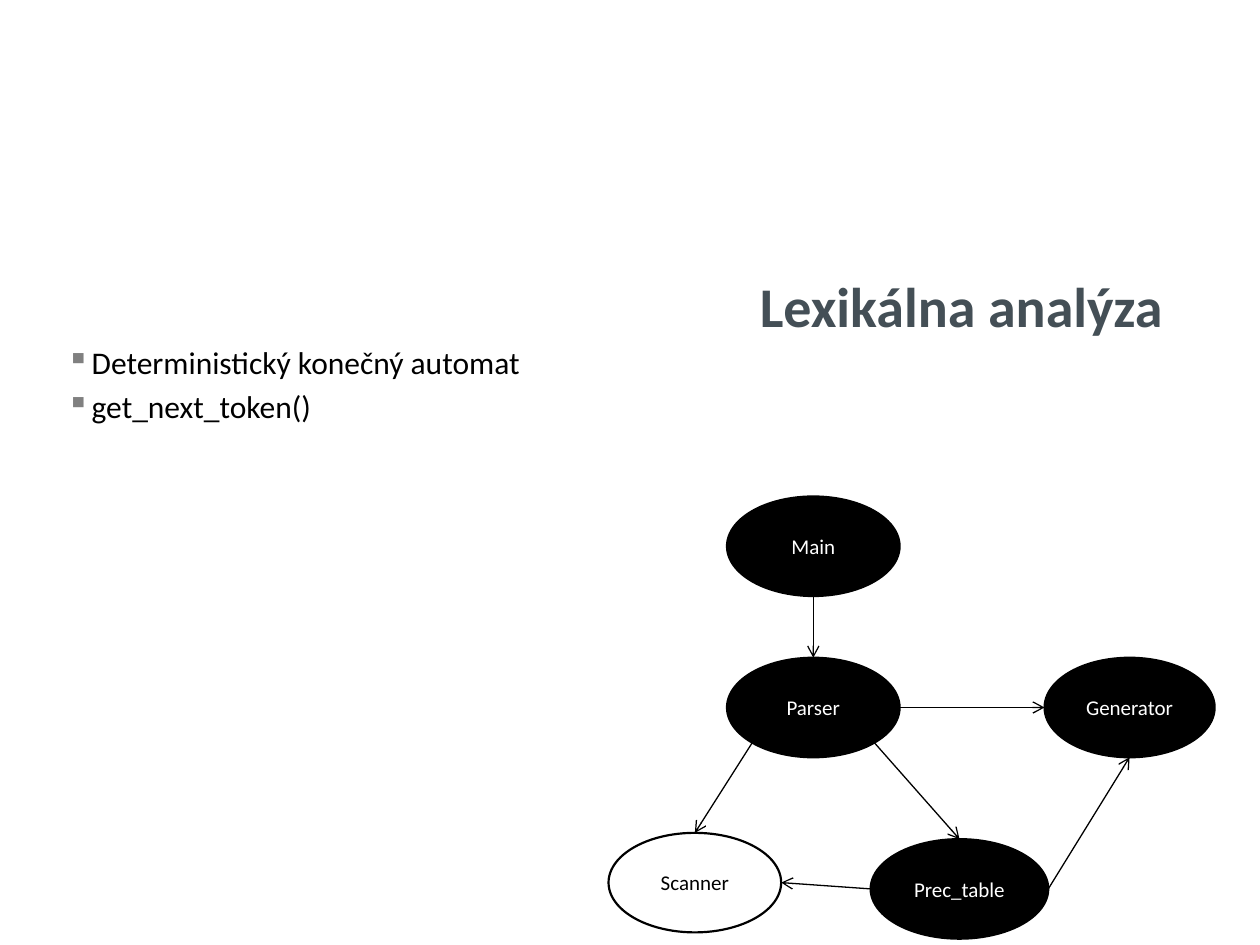
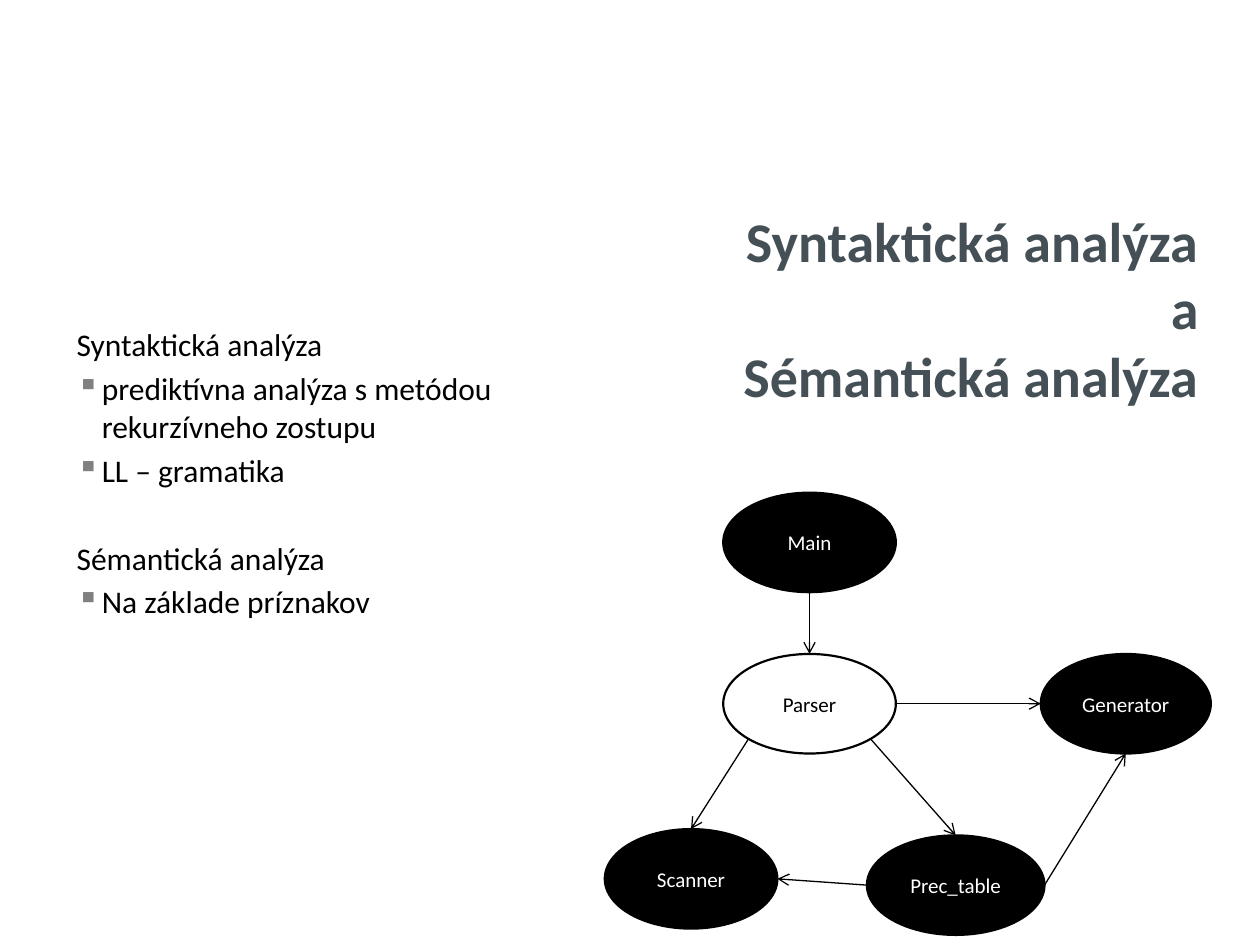
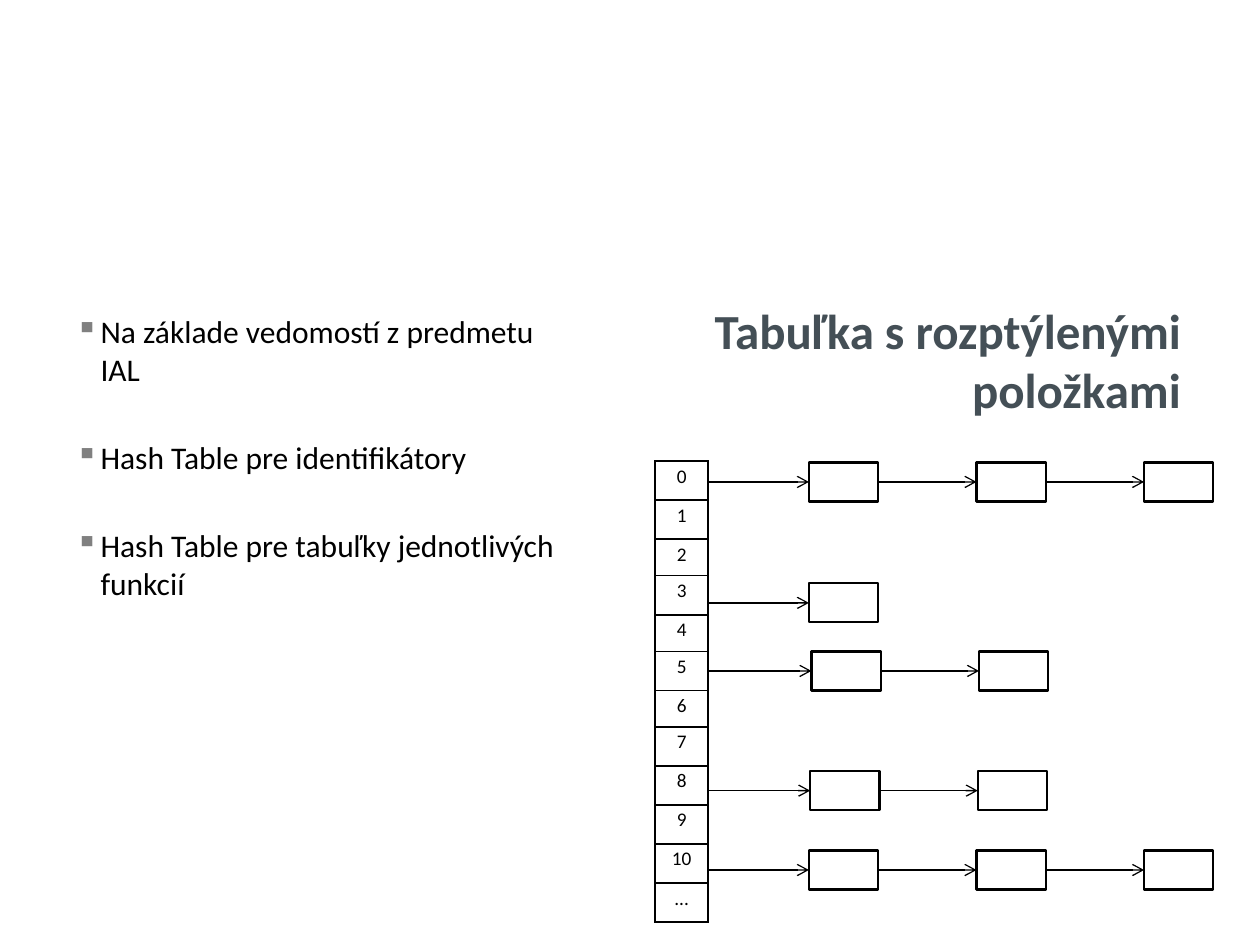
import math

import pptx
import pptx.dml.color
import pptx.enum.shapes
import pptx.enum.text
import pptx.oxml
import pptx.oxml.ns
import pptx.util

# Shared look
FONT = "Calibri"
COLORS = {"title": "444F56", "ink": "000000", "paper": "FFFFFF", "bullet": "808080"}
ANCHOR = pptx.enum.text.MSO_ANCHOR
ALIGN = pptx.enum.text.PP_ALIGN
SHAPE = pptx.enum.shapes.MSO_SHAPE
STRAIGHT = pptx.enum.shapes.MSO_CONNECTOR.STRAIGHT
A_NS = pptx.oxml.ns.nsdecls("a")

LINE_GAP = 3.5       # points above a paragraph
SECTION_GAP = 28.6   # points above a new group of paragraphs

# Module diagram: left, top, width, relative to the diagram's corner
NODE_HEIGHT = 0.79
MODULES = {
    "Parser": (0.94, 1.28, 1.37),
    "Prec_table": (2.08, 2.72, 1.41),
    "Generator": (3.46, 1.28, 1.35),
    "Scanner": (0, 2.67, 1.37),
    "Main": (0.94, 0, 1.37),
}
# Angles on the ellipses, clockwise from the right, in degrees
RIGHT, LOWER_RIGHT, BOTTOM, LOWER_LEFT, LEFT, TOP = 0, 45, 90, 135, 180, 270
CALLS = [
    ("Main", BOTTOM, "Parser", TOP),
    ("Parser", LOWER_LEFT, "Scanner", TOP),
    ("Parser", LOWER_RIGHT, "Prec_table", TOP),
    ("Prec_table", LEFT, "Scanner", RIGHT),
    ("Prec_table", RIGHT, "Generator", BOTTOM),
    ("Parser", RIGHT, "Generator", LEFT),
]

# Hash table: slots on the left, chains of items on the right
SLOTS = [str(number) for number in range(11)] + ["..."]
LOW_SLOTS = ("2", "4", "6")
SLOT_LEFT, SLOT_TOP, SLOT_WIDTH = 5.2, 3.66, 0.42
ITEM_WIDTH, ITEM_HEIGHT, ITEM_PITCH = 0.55, 0.31, 1.33
CHAINS = [(6.42, 3.67, 3), (6.42, 4.63, 1), (6.44, 5.17, 2),
          (6.43, 6.12, 2), (6.42, 6.75, 3)]   # left, top, items


def inches(*lengths):
    return [pptx.util.Inches(length) for length in lengths]


def rgb(name):
    return pptx.dml.color.RGBColor.from_string(COLORS[name])


def add_run(paragraph, text, size, color="ink", bold=False):
    run = paragraph.add_run()
    run.text = text
    run.font.name = FONT
    run.font.size = pptx.util.Pt(size)
    run.font.bold = bold
    run.font.color.rgb = rgb(color)


def add_text_frame(slide, place, anchor=ANCHOR.MIDDLE):
    frame = slide.shapes.add_textbox(*inches(*place)).text_frame
    frame.word_wrap = True
    frame.vertical_anchor = anchor
    return frame


def add_title(slide, place, lines, size=32):
    paragraph = add_text_frame(slide, place).paragraphs[0]
    paragraph.alignment = ALIGN.RIGHT
    for number, line in enumerate(lines):
        if number:
            paragraph.add_line_break()
        add_run(paragraph, line, size, "title", True)


def set_bullet(paragraph):
    properties = paragraph._p.get_or_add_pPr()
    indent = pptx.util.Inches(0.2)
    properties.set("marL", str(indent))
    properties.set("indent", str(-indent))
    for xml in (f'<a:buClr {A_NS}><a:srgbClr val="{COLORS["bullet"]}"/></a:buClr>',
                f'<a:buChar {A_NS} char="▪"/>'):
        properties.append(pptx.oxml.parse_xml(xml))


def add_points(frame, points):
    """Each point is its text, whether it has a bullet, and the gap above."""
    for number, (text, bulleted, gap) in enumerate(points):
        paragraph = frame.add_paragraph() if number else frame.paragraphs[0]
        paragraph.space_before = pptx.util.Pt(gap)
        if bulleted:
            set_bullet(paragraph)
        add_run(paragraph, text, 18)


def add_outlined(slide, kind, place, fill):
    shape = slide.shapes.add_shape(kind, *inches(*place))
    shape.shadow.inherit = False
    shape.fill.solid()
    shape.fill.fore_color.rgb = rgb(fill)
    shape.line.color.rgb = rgb("ink")
    shape.line.width = pptx.util.Pt(1.25)
    return shape


def add_arrow(slide, start, end):
    arrow = slide.shapes.add_connector(STRAIGHT, *inches(*start, *end))
    arrow.line.color.rgb = rgb("ink")
    arrow.line.width = pptx.util.Pt(0.75)
    arrow.line._get_or_add_ln().append(
        pptx.oxml.parse_xml(f'<a:tailEnd {A_NS} type="arrow"/>'))
    arrow._element.spPr.append(pptx.oxml.parse_xml(f"<a:effectLst {A_NS}/>"))
    return arrow


def add_module_diagram(slide, left, top, active):
    def edge(name, angle):
        x, y, width = MODULES[name]
        turn = math.radians(angle)
        return (left + x + width / 2 * (1 + math.cos(turn)),
                top + y + NODE_HEIGHT / 2 * (1 + math.sin(turn)))

    for name, (x, y, width) in MODULES.items():
        fill, ink = ("paper", "ink") if name == active else ("ink", "paper")
        module = add_outlined(slide, SHAPE.OVAL,
                              (left + x, top + y, width, NODE_HEIGHT), fill)
        module.text_frame.vertical_anchor = ANCHOR.MIDDLE
        paragraph = module.text_frame.paragraphs[0]
        paragraph.alignment = ALIGN.CENTER
        add_run(paragraph, name, 12, ink)
    for caller, start, callee, end in CALLS:
        add_arrow(slide, edge(caller, start), edge(callee, end))


def set_borders(cell):
    properties = cell._tc.get_or_add_tcPr()
    for side in ("lnL", "lnR", "lnT", "lnB"):
        properties.append(pptx.oxml.parse_xml(
            f'<a:{side} {A_NS} w="{pptx.util.Pt(1)}"><a:solidFill>'
            f'<a:srgbClr val="{COLORS["ink"]}"/></a:solidFill></a:{side}>'))


def add_slot_table(slide):
    heights = [0.29 if slot in LOW_SLOTS else 0.31 for slot in SLOTS]
    place = inches(SLOT_LEFT, SLOT_TOP, SLOT_WIDTH, sum(heights))
    table = slide.shapes.add_table(len(SLOTS), 1, *place).table
    table.first_row = table.horz_banding = False
    for row, slot, height in zip(table.rows, SLOTS, heights):
        row.height = pptx.util.Inches(height)
        cell = row.cells[0]
        cell.margin_left = cell.margin_right = pptx.util.Inches(0.07)
        cell.margin_top = cell.margin_bottom = 0
        set_borders(cell)
        cell.fill.background()
        paragraph = cell.text_frame.paragraphs[0]
        paragraph.alignment = ALIGN.CENTER
        paragraph.line_spacing = 1.15
        add_run(paragraph, slot, 11)


def add_chain(slide, left, top, count):
    middle = top + ITEM_HEIGHT / 2
    previous = None
    for number in range(count):
        x = left + number * ITEM_PITCH
        item = add_outlined(slide, SHAPE.RECTANGLE,
                            (x, top, ITEM_WIDTH, ITEM_HEIGHT), "paper")
        arrow = add_arrow(slide, (SLOT_LEFT + SLOT_WIDTH, middle), (x, middle))
        if previous is not None:
            arrow.begin_connect(previous, 3)
        arrow.end_connect(item, 1)
        previous = item


def build_lexical(slide):
    add_points(add_text_frame(slide, (0.43, 0.48, 4, 5.13)), [
        ("Deterministický konečný automat", True, LINE_GAP),
        ("get_next_token()", True, LINE_GAP),
    ])
    add_title(slide, (5.77, 1.62, 3.56, 1.6), ["Lexikálna analýza"])
    add_module_diagram(slide, 4.83, 3.94, "Scanner")


def build_syntactic(slide):
    frame = add_text_frame(slide, (0.51, 2.58, 4, 2.92), ANCHOR.TOP)
    frame.margin_top = 0
    add_points(frame, [
        ("Syntaktická analýza", False, 0),
        ("prediktívna analýza s metódou rekurzívneho zostupu", True, LINE_GAP),
        ("LL – gramatika", True, LINE_GAP),
        ("Sémantická analýza", False, SECTION_GAP),
        ("Na základe príznakov", True, LINE_GAP),
    ])
    add_title(slide, (5.3, 1.39, 4.31, 2.1),
              ["Syntaktická analýza", "a", "Sémantická analýza"])
    add_module_diagram(slide, 4.8, 3.91, "Parser")


def build_hash_table(slide):
    add_points(add_text_frame(slide, (0.5, 0.5, 4, 6.25)), [
        ("Na základe vedomostí z predmetu IAL", True, LINE_GAP),
        ("Hash Table pre identifikátory", True, SECTION_GAP),
        ("Hash Table pre tabuľky jednotlivých funkcií", True, SECTION_GAP),
    ])
    add_title(slide, (5.31, 1.07, 4.16, 3.56),
              ["Tabuľka s rozptýlenými položkami"], 28)
    add_slot_table(slide)
    for chain in CHAINS:
        add_chain(slide, *chain)


def main():
    deck = pptx.Presentation()
    deck.slide_width, deck.slide_height = inches(10, 7.5)
    for build in (build_lexical, build_syntactic, build_hash_table):
        build(deck.slides.add_slide(deck.slide_layouts[6]))
    deck.save("out.pptx")


if __name__ == "__main__":
    main()
